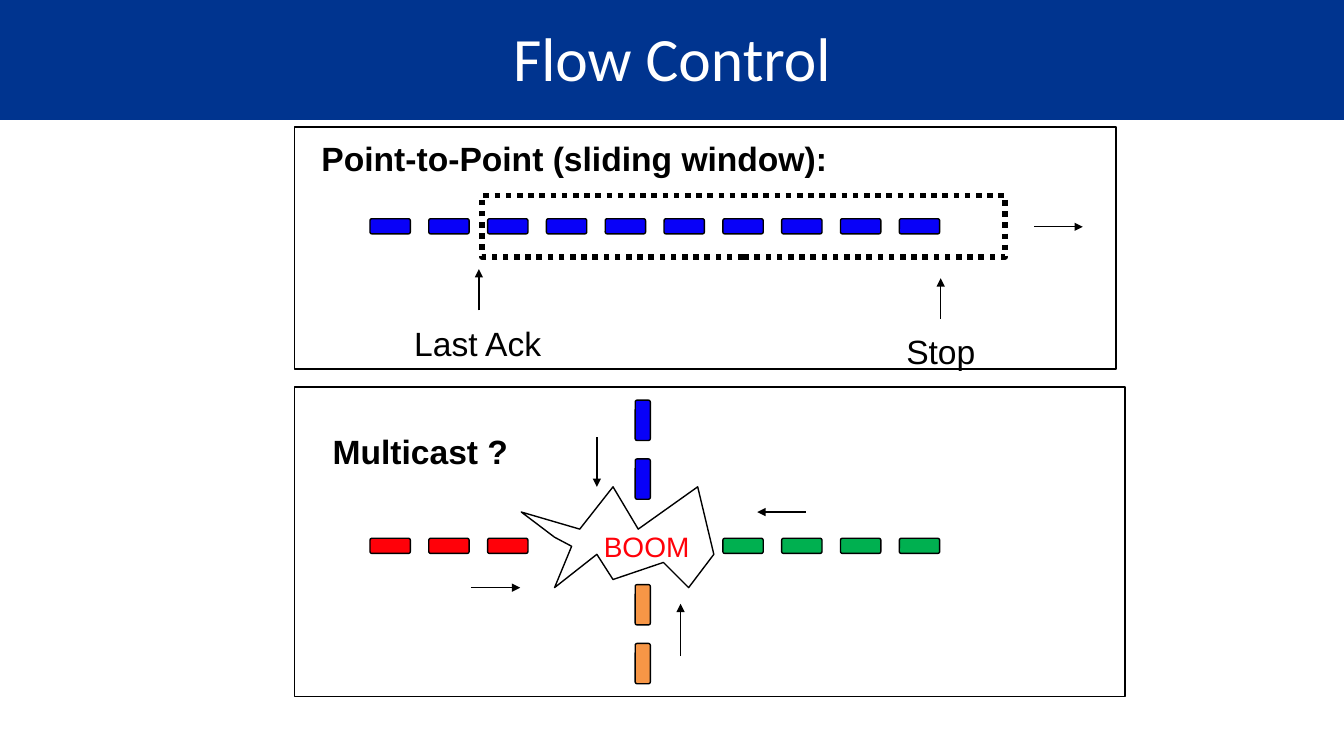
from lxml import etree
from pptx import Presentation
from pptx.dml.color import RGBColor
from pptx.enum.dml import MSO_LINE
from pptx.enum.shapes import MSO_CONNECTOR, MSO_SHAPE
from pptx.enum.text import MSO_ANCHOR, PP_ALIGN
from pptx.oxml.ns import qn
from pptx.util import Inches, Pt

RECTANGLE, ROUNDED = MSO_SHAPE.RECTANGLE, MSO_SHAPE.ROUNDED_RECTANGLE
STRAIGHT = MSO_CONNECTOR.STRAIGHT
DOTTED = MSO_LINE.ROUND_DOT
LEFT, CENTER = PP_ALIGN.LEFT, PP_ALIGN.CENTER
TOP = MSO_ANCHOR.TOP

BLACK = RGBColor(0x00, 0x00, 0x00)
WHITE = RGBColor(0xFF, 0xFF, 0xFF)
NAVY = RGBColor(0x00, 0x34, 0x8F)
BLUE = RGBColor(0x08, 0x01, 0xF8)
RED = RGBColor(0xFF, 0x01, 0x09)
GREEN = RGBColor(0x00, 0xB0, 0x50)
ORANGE = RGBColor(0xF7, 0x96, 0x46)

# Content, all lengths in inches
TITLE = "Flow Control"
TITLE_BAR = (0, 0, 13.33, 1.19)
PANELS = [(2.92, 1.26, 8.15, 2.4), (2.92, 3.84, 8.24, 3.07)]
WINDOW = (4.78, 1.94, 5.19, 0.61)

# Packet trains: left, top, count, runs downwards, colour
PACKET_LONG, PACKET_SHORT = 0.4, 0.15
PACKET_STEP = 7 / 12
TRAINS = [
    (3.67, 2.17, 10, False, BLUE),
    (3.67, 5.34, 3, False, RED),
    (7.17, 5.34, 4, False, GREEN),
    (6.3, 3.97, 2, True, BLUE),
    (6.3, 5.8, 2, True, ORANGE),
]

# Arrows: start x, start y, tip x, tip y
ARROWS = [
    (10.26, 2.25, 10.74, 2.25),
    (4.75, 3.08, 4.75, 2.67),
    (9.33, 3.16, 9.33, 2.76),
    (4.67, 5.83, 5.16, 5.83),
    (7.99, 5.08, 7.51, 5.08),
    (6.75, 6.51, 6.75, 5.99),
    (5.92, 4.34, 5.92, 4.83),
]

BURST = [
    (5.5, 5.33), (5.17, 5.08), (5.75, 5.25), (6.08, 4.83), (6.33, 5.25),
    (6.92, 4.83), (7.08, 5.5), (6.83, 5.83), (6.58, 5.58), (6.08, 5.75),
    (5.92, 5.5), (5.5, 5.83), (5.67, 5.42),
]

# Labels: text, box, format
LABELS = [
    ("Point-to-Point (sliding window):", (3.09, 1.32, 5.26, 0.5), {"bold": True}),
    ("Last Ack", (4.01, 3.15, 1.47, 0.5), {}),
    ("Stop", (8.89, 3.23, 0.89, 0.5), {}),
    ("Multicast ?", (3.2, 4.23, 1.96, 0.5), {"bold": True}),
    ("BOOM", (5.89, 5.2, 1.06, 0.43), {"size": 20, "color": RED}),
]


def write_text(shape, text, size=24, font="Arial", color=BLACK, bold=False,
               align=LEFT, margin_top=0.05):
    frame = shape.text_frame
    frame.word_wrap = False
    frame.vertical_anchor = TOP
    frame.margin_top = Inches(margin_top)
    paragraph = frame.paragraphs[0]
    paragraph.alignment = align
    run = paragraph.add_run()
    run.text = text
    run.font.size = Pt(size)
    run.font.name = font
    run.font.bold = bold
    run.font.color.rgb = color


def style_shape(shape, fill=None, line=BLACK, width=1):
    shape.shadow.inherit = False
    if fill is None:
        shape.fill.background()
    else:
        shape.fill.solid()
        shape.fill.fore_color.rgb = fill
    if line is None:
        shape.line.fill.background()
    else:
        shape.line.color.rgb = line
        shape.line.width = Pt(width)


def add_box(slide, kind, box, **style):
    shape = slide.shapes.add_shape(kind, *map(Inches, box))
    style_shape(shape, **style)
    return shape


def add_train(slide, left, top, count, downwards, color):
    for index in range(count):
        offset = index * PACKET_STEP
        if downwards:
            box = (left, top + offset, PACKET_SHORT, PACKET_LONG)
        else:
            box = (left + offset, top, PACKET_LONG, PACKET_SHORT)
        packet = add_box(slide, ROUNDED, box, fill=color)
        packet.adjustments[0] = 0.125


def add_burst(slide, points):
    start, *corners = [(Inches(x), Inches(y)) for x, y in points]
    builder = slide.shapes.build_freeform(*start)
    builder.add_line_segments(corners, close=True)
    style_shape(builder.convert_to_shape(), fill=WHITE)


def add_arrow(slide, ends):
    arrow = slide.shapes.add_connector(STRAIGHT, *map(Inches, ends))
    arrow.line.color.rgb = BLACK
    arrow.line.width = Pt(1)
    etree.SubElement(arrow.line._get_or_add_ln(), qn("a:tailEnd"), type="triangle")
    etree.SubElement(arrow._element.spPr, qn("a:effectLst"))


def main():
    presentation = Presentation()
    presentation.slide_width = Inches(13.33)
    presentation.slide_height = Inches(7.5)
    slide = presentation.slides.add_slide(presentation.slide_layouts[6])

    # Panels and sliding window
    for panel in PANELS:
        add_box(slide, RECTANGLE, panel)
    window = add_box(slide, RECTANGLE, WINDOW, width=4)
    window.line.dash_style = DOTTED

    # Packets and their collision
    for train in TRAINS:
        add_train(slide, *train)
    add_burst(slide, BURST)

    # Arrows and labels
    for ends in ARROWS:
        add_arrow(slide, ends)
    for text, box, text_format in LABELS:
        write_text(slide.shapes.add_textbox(*map(Inches, box)), text, **text_format)

    # Title bar
    title_bar = add_box(slide, RECTANGLE, TITLE_BAR, fill=NAVY, line=None)
    write_text(title_bar, TITLE, size=44, font="Calibri", color=WHITE,
               align=CENTER, margin_top=0.2)

    presentation.save("out.pptx")


if __name__ == "__main__":
    main()
